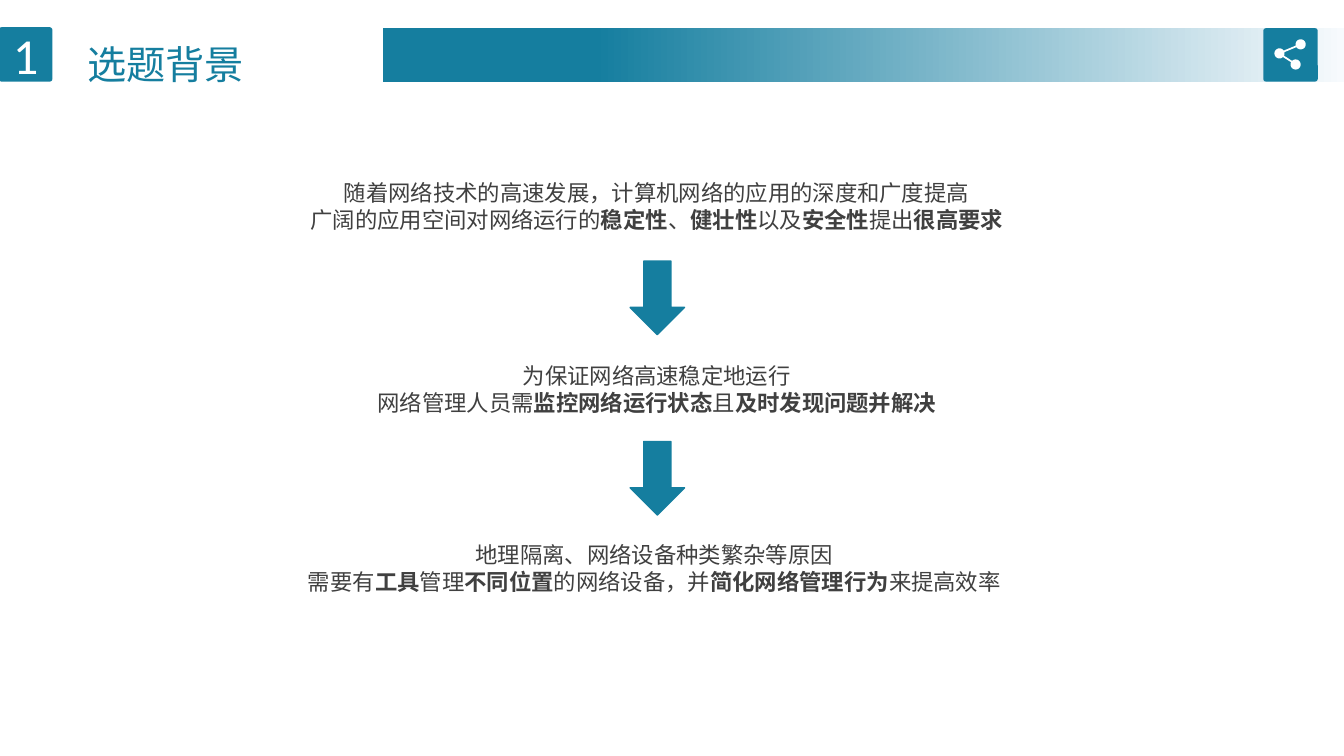
"""Build the slide on the background of the chosen topic."""
from math import cos, radians, sin

from lxml.etree import SubElement
from pptx import Presentation
from pptx.dml.color import RGBColor
from pptx.enum.shapes import MSO_SHAPE
from pptx.enum.text import MSO_ANCHOR, MSO_AUTO_SIZE, PP_ALIGN
from pptx.oxml.ns import qn
from pptx.util import Inches, Pt


def color(value):
    return RGBColor.from_string(value)


class Deck:
    teal = "157E9F"
    white = "FFFFFF"
    body_color = "404040"
    pale = "F7FAFD"
    chinese = "Noto Sans CJK SC"
    latin = "Calibri"

    def __init__(self):
        self.presentation = Presentation()
        self.presentation.slide_width = Inches(13.33)
        self.presentation.slide_height = Inches(7.5)
        self.slide = self.presentation.slides.add_slide(self.presentation.slide_layouts[6])

    def shape(self, kind, left, top, width, height):
        box = self.slide.shapes.add_shape(
            kind, Inches(left), Inches(top), Inches(width), Inches(height))
        return self.paint(box, self.teal)

    def paint(self, item, fill):
        item.shadow.inherit = False
        item.fill.solid()
        item.fill.fore_color.rgb = color(fill)
        item.line.fill.background()
        return item

    def tile(self, left, top, width, height):
        square = self.shape(MSO_SHAPE.ROUNDED_RECTANGLE, left, top, width, height)
        square.adjustments[0] = 0.05
        return square

    def number(self, text, left, top, width, height):
        frame = self.tile(left, top, width, height).text_frame
        frame.vertical_anchor = MSO_ANCHOR.MIDDLE
        self.fill_paragraph(
            frame.paragraphs[0], [text], 36, self.white, self.latin, PP_ALIGN.CENTER)

    def fading_band(self, left, top, width, height):
        band = self.shape(MSO_SHAPE.RECTANGLE, left, top, width, height)
        band.fill.gradient()
        band.fill.gradient_angle = 180
        for stop, position, shade in zip(
                band.fill.gradient_stops, (0, 0.78), (self.pale, self.teal)):
            stop.position = position
            stop.color.rgb = color(shade)

    def arrow(self, left, top, width, height):
        pointer = self.shape(MSO_SHAPE.DOWN_ARROW, left, top, width, height)
        pointer.line.color.rgb = color(self.teal)
        pointer.line.width = Pt(1)

    def share_icon(self, upper, hub, lower, radius):
        """Trace three dots and their links as one clockwise outline."""
        arcs = [(upper, 166, 506), (hub, -14, 26), (lower, 226, 566), (hub, 46, 326)]
        outline = [
            (Inches(x + radius * cos(radians(angle))), Inches(y + radius * sin(radians(angle))))
            for (x, y), first, last in arcs
            for angle in range(first, last + 1, 10)]
        builder = self.slide.shapes.build_freeform(*outline[0])
        builder.add_line_segments(outline[1:], close=True)
        self.paint(builder.convert_to_shape(), self.white)

    def text_frame(self, left, top, width, height, wrap):
        frame = self.slide.shapes.add_textbox(
            Inches(left), Inches(top), Inches(width), Inches(height)).text_frame
        frame.word_wrap = wrap
        frame.auto_size = MSO_AUTO_SIZE.SHAPE_TO_FIT_TEXT
        return frame

    def title(self, text, left, top, width, height):
        heading = self.text_frame(left, top, width, height, False).paragraphs[0]
        heading.line_spacing = 1.5
        self.fill_paragraph(heading, [text], 28, self.teal, self.chinese, PP_ALIGN.LEFT)

    def statement(self, lines, left, top, width, height):
        frame = self.text_frame(left, top, width, height, True)
        for index, pieces in enumerate(lines):
            paragraph = frame.add_paragraph() if index else frame.paragraphs[0]
            self.fill_paragraph(
                paragraph, pieces, 16, self.body_color, self.chinese, PP_ALIGN.CENTER)

    def fill_paragraph(self, paragraph, pieces, size, shade, typeface, alignment):
        """Add the pieces as runs, every second one bold."""
        paragraph.alignment = alignment
        paragraph.font.size = Pt(size)
        paragraph.font.color.rgb = color(shade)
        paragraph.font.name = typeface
        defaults = paragraph._p.pPr.find(qn("a:defRPr"))
        SubElement(defaults, qn("a:ea")).set("typeface", typeface)
        for index, piece in enumerate(pieces):
            run = paragraph.add_run()
            run.text = piece
            if index % 2:
                run.font.bold = True


def main():
    deck = Deck()
    deck.number("1", -0.01, 0.27, 0.53, 0.54)
    deck.fading_band(3.8, 0.28, 9.53, 0.53)
    deck.tile(12.53, 0.28, 0.54, 0.53)
    deck.share_icon((12.9, 0.44), (12.69, 0.53), (12.85, 0.64), 0.05)
    deck.title("选题背景", 0.77, 0.12, 1.77, 0.81)

    demand = [
        ["随着网络技术的高速发展，计算机网络的应用的深度和广度提高"],
        ["广阔的应用空间对网络运行的", "稳定性", "、", "健壮性", "以及", "安全性",
         "提出", "很高要求"]]
    duty = [
        ["为保证网络高速稳定地运行"],
        ["网络管理人员需", "监控网络运行状态", "且", "及时发现问题并解决"]]
    tools = [
        ["地理隔离、网络设备种类繁杂等原因"],
        ["需要有", "工具", "管理", "不同位置", "的网络设备，并", "简化网络管理行为",
         "来提高效率"]]
    deck.statement(demand, 2.28, 1.73, 8.47, 0.64)
    deck.statement(duty, 3.18, 3.54, 6.67, 0.64)
    deck.statement(tools, 2.0, 5.32, 8.98, 0.64)
    for top in (2.59, 4.38):
        deck.arrow(6.25, top, 0.54, 0.73)

    deck.presentation.save("out.pptx")


if __name__ == "__main__":
    main()
